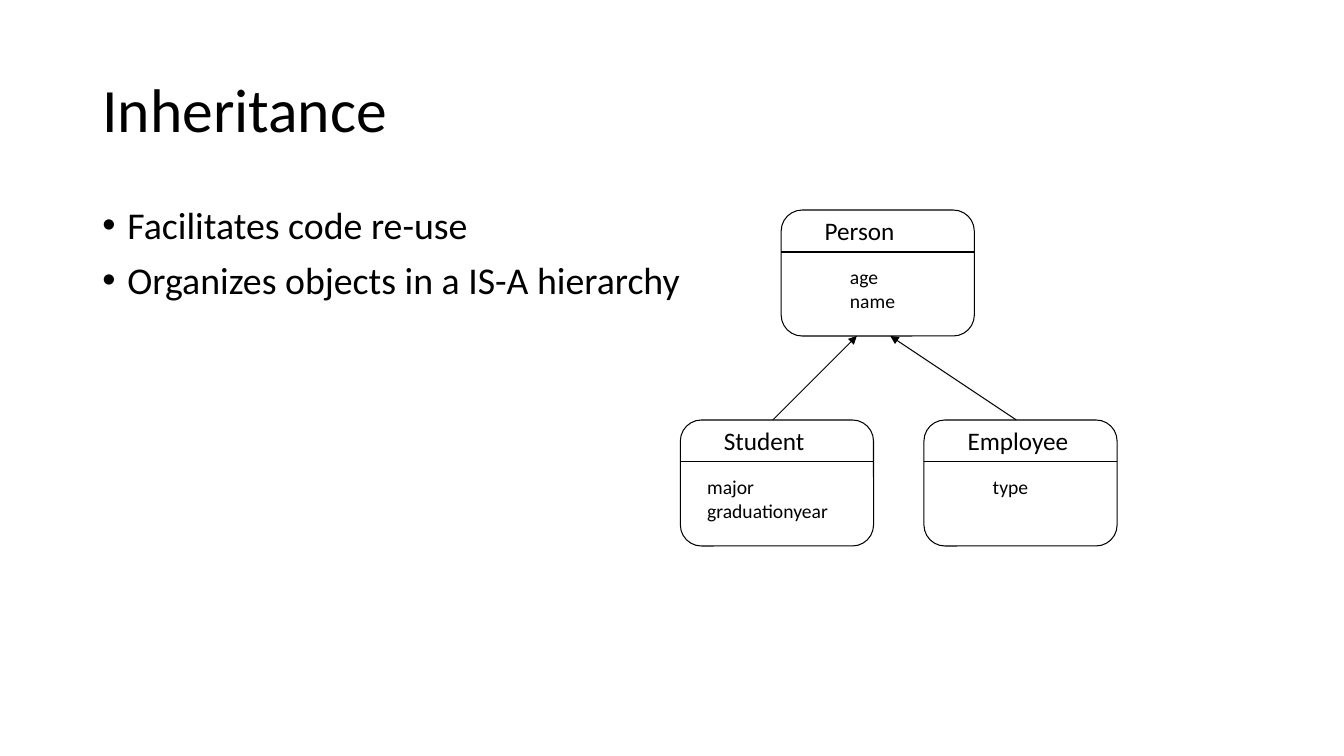
"""Build the Inheritance slide: two bullet points beside a class diagram."""
from lxml.etree import SubElement
from pptx import Presentation
from pptx.dml.color import RGBColor
from pptx.enum.shapes import MSO_CONNECTOR, MSO_SHAPE
from pptx.enum.text import MSO_ANCHOR, MSO_AUTO_SIZE
from pptx.oxml.ns import qn
from pptx.util import Pt

PX = 9525
THEME = {
    "font": "Calibri",
    "ink": RGBColor(0, 0, 0),
    "line": Pt(0.75),
    "title": Pt(44),
    "body": Pt(27),
    "name": Pt(18),
    "field": Pt(14),
}


def add_text(shapes, bounds, lines, size, frame_format, para_format):
    box = shapes.add_textbox(*[value * PX for value in bounds])
    frame = box.text_frame
    for key, value in frame_format.items():
        setattr(frame, key, value)
    frame.text = "\n".join(lines)
    for para in frame.paragraphs:
        for key, value in para_format.items():
            setattr(para, key, value)
        for span in para.runs:
            span.font.name = THEME["font"]
            span.font.size = THEME[size]
            span.font.color.rgb = THEME["ink"]
    return frame


def add_line(shapes, *ends):
    line = shapes.add_connector(MSO_CONNECTOR.STRAIGHT, *[value * PX for value in ends])
    line.line.color.rgb = THEME["ink"]
    line.line.width = THEME["line"]
    SubElement(line._element.spPr, qn("a:effectLst"))
    return line


deck = Presentation()
deck.slide_width, deck.slide_height = 1280 * PX, 720 * PX
page = deck.slides.add_slide(deck.slide_layouts[6])

add_text(page.shapes, (88, 38, 1104, 139), ["Inheritance"], "title",
         {"word_wrap": True, "vertical_anchor": MSO_ANCHOR.MIDDLE}, {"line_spacing": 0.9})

points = ["Facilitates code re-use", "Organizes objects in a IS-A hierarchy"]
body = add_text(page.shapes, (88, 192, 576, 457), points, "body",
                {"word_wrap": True}, {"line_spacing": 0.9, "space_before": Pt(10)})
for para in body.paragraphs:
    properties = para._p.get_or_add_pPr()
    properties.set("marL", str(24 * PX))
    properties.set("indent", str(-24 * PX))
    SubElement(properties, qn("a:buFont"), typeface="Arial")
    SubElement(properties, qn("a:buChar"), char="•")

CLASS_WIDTH, CLASS_HEIGHT, HEADER = 184, 120, 40
classes = [
    (744, 200, "Person", 86, ["age", "name"], (56, 62, 55), False),
    (648, 400, "Student", 97, ["major", "graduationyear"], (16, 160, 55), True),
    (880, 400, "Employee", 116, ["type"], (56, 55, 32), False),
]
for left, top, name, name_width, fields, (inset, width, height), wrap in classes:
    group = page.shapes.add_group_shape().shapes
    outline = group.add_shape(MSO_SHAPE.ROUNDED_RECTANGLE, left * PX, top * PX,
                              CLASS_WIDTH * PX, CLASS_HEIGHT * PX)
    outline.adjustments[0] = 0.167
    outline.shadow.inherit = False
    outline.fill.background()
    outline.line.color.rgb = THEME["ink"]
    outline.line.width = THEME["line"]
    fit = {"auto_size": MSO_AUTO_SIZE.SHAPE_TO_FIT_TEXT}
    add_text(group, (left + 32, top, name_width, 38), [name], "name",
             fit | {"word_wrap": False}, {})
    add_line(group, left, top + HEADER, left + CLASS_WIDTH, top + HEADER)
    add_text(group, (left + inset, top + HEADER + 8, width, height), fields, "field",
             fit | {"word_wrap": wrap}, {})

for child_x, parent_x in [(736, 816), (968, 848)]:
    arrow = add_line(page.shapes, child_x, 400, parent_x, 320)
    SubElement(arrow.line._get_or_add_ln(), qn("a:tailEnd"), type="triangle")

deck.save("out.pptx")
